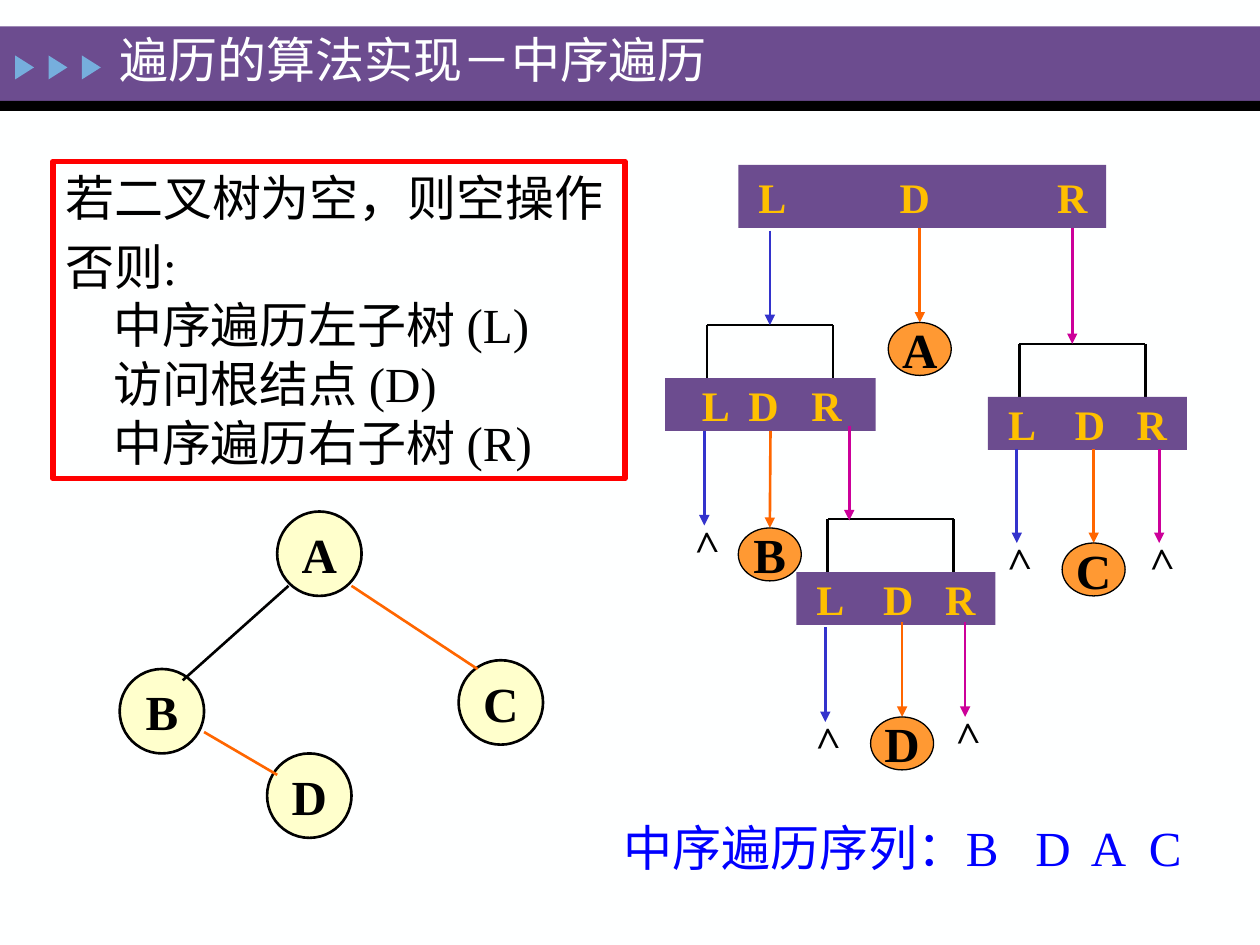
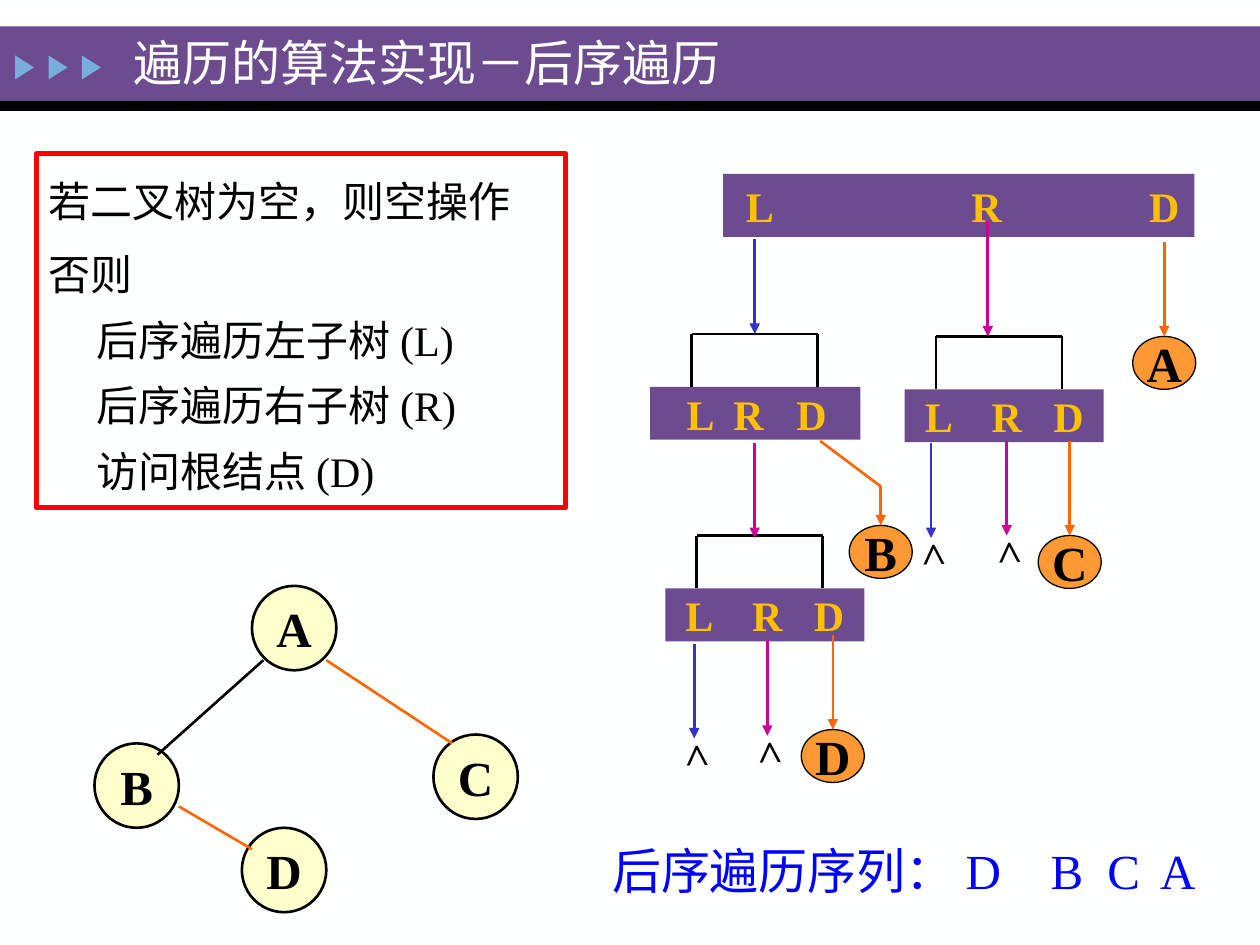
from lxml import etree
from pptx import Presentation
from pptx.dml.color import RGBColor
from pptx.enum.shapes import MSO_CONNECTOR, MSO_SHAPE
from pptx.enum.text import MSO_ANCHOR, PP_ALIGN
from pptx.oxml.ns import qn
from pptx.util import Inches, Pt

RECT = MSO_SHAPE.RECTANGLE
OVAL = MSO_SHAPE.OVAL
WEDGE = MSO_SHAPE.ISOSCELES_TRIANGLE
LINE = MSO_CONNECTOR.STRAIGHT
MIDDLE = MSO_ANCHOR.MIDDLE
TOP = MSO_ANCHOR.TOP
LEFT = PP_ALIGN.LEFT
CENTER = PP_ALIGN.CENTER

FONT = "Times New Roman"
PAPER = "FEFFFF"
PURPLE = "6C4C8F"
BLACK = "000000"
SKY = "76AEDD"
RED = "FF0000"
CREAM = "FFFFCC"
AMBER = "FF9933"
GOLD = "FFC000"
BLUE = "0000FF"
STEMS = {"L": "3333CC", "D": "FF6600", "R": "CC0099"}

WIDE = (-0.33, 1.67, (0.29, 0.37, 0.87))
SLIM = (-0.25, 1.58, (0.16, 0.53, 1.02))
STEM = 0.75
DROP = 0.42


def tint(code):
    return RGBColor.from_string(code)


def inches(*sizes):
    return [Inches(size) for size in sizes]


def add_shape(slide, kind, box, fill=None, edge=None, width=1.5):
    shape = slide.shapes.add_shape(kind, *inches(*box))
    shape.shadow.inherit = False
    if fill:
        shape.fill.solid()
        shape.fill.fore_color.rgb = tint(fill)
    else:
        shape.fill.background()
    if edge:
        shape.line.color.rgb = tint(edge)
        shape.line.width = Pt(width)
    else:
        shape.line.fill.background()
    return shape


def add_line(slide, start, end, color=BLACK, arrow=False):
    line = slide.shapes.add_connector(LINE, *inches(*start, *end))
    line.line.color.rgb = tint(color)
    line.line.width = Pt(1.5)
    props = line.element.spPr
    if arrow:
        tip = etree.SubElement(props.find(qn("a:ln")), qn("a:tailEnd"))
        tip.set("type", "triangle")
    etree.SubElement(props, qn("a:effectLst"))
    return line


def set_tabs(par, stops):
    tabs = etree.SubElement(par._p.get_or_add_pPr(), qn("a:tabLst"))
    for stop in stops:
        tab = etree.SubElement(tabs, qn("a:tab"))
        tab.set("pos", str(Inches(stop)))
        tab.set("algn", "l")


def style(par, size, color, bold=False, align=LEFT):
    par.alignment = align
    par.font.name = FONT
    par.font.size = Pt(size)
    par.font.bold = bold
    par.font.color.rgb = tint(color)


def write(shape, text, size, color, bold=False, align=LEFT,
          anchor=MIDDLE, wrap=True, stops=()):
    frame = shape.text_frame
    frame.word_wrap = wrap
    frame.vertical_anchor = anchor
    par = frame.paragraphs[0]
    par.text = text
    if stops:
        set_tabs(par, stops)
    style(par, size, color, bold, align)


def add_bands(slide, layout):
    parts = [add_shape(slide, RECT, (0, 0.21, 10, 0.59), PURPLE),
             add_shape(slide, RECT, (0, 0.8, 10, 0.08), BLACK)]
    for step in range(3):
        wedge = add_shape(slide, WEDGE, (0.1 + 0.265 * step, 0.46, 0.19, 0.15), SKY)
        wedge.rotation = 90
        parts.append(wedge)
    for part in parts:
        layout.shapes.element.append(part.element)


def add_title(slide, text, left, top):
    title = slide.shapes.title
    title.left, title.top, title.width, title.height = inches(left, top, 6.44, 0.56)
    write(title, text, 28, PAPER)


def add_steps(slide, box, first, rest, size, space=None):
    frame_box = add_shape(slide, RECT, box, edge=RED, width=3)
    frame = frame_box.text_frame
    frame.word_wrap = True
    frame.vertical_anchor = TOP
    pars = [frame.paragraphs[0], frame.add_paragraph()]
    for par, text in zip(pars, (first, "\v".join(rest))):
        par.text = text
        props = par._p.get_or_add_pPr()
        props.set("marL", str(Inches(0.38)))
        props.set("indent", str(Inches(-0.38)))
        par.line_spacing = space
        style(par, size, BLACK)
    pars[1].space_before = Pt(size * 0.2)


def add_node(slide, name, box, fill, width):
    node = add_shape(slide, OVAL, box, fill, BLACK, width)
    write(node, name, 28, BLACK, True, CENTER, wrap=False)
    return node


def add_tree(slide, left, top):
    nodes = {"A": (1.25, 0), "D": (1.17, 1.92), "B": (0, 1.25), "C": (2.69, 1.18)}
    for name, (x, y) in nodes.items():
        add_node(slide, name, (left + x, top + y, 0.67, 0.67), CREAM, 1.5)
    edges = [((1.34, 0.59), (0.5, 1.34), BLACK),
             ((1.84, 0.59), (2.84, 1.25), STEMS["D"]),
             ((0.67, 1.75), (1.25, 2.09), STEMS["D"])]
    for (x1, y1), (x2, y2), color in edges:
        add_line(slide, (left + x1, top + y1), (left + x2, top + y2), color)


def add_bar(slide, box, order, marks):
    bar = add_shape(slide, RECT, box, PURPLE)
    frame = bar.text_frame
    frame.margin_left = Inches(marks[0])
    frame.margin_right = 0
    write(bar, "\t".join(order), 24, GOLD, True, stops=marks[1:])
    return bar


def add_branch(slide, left, top, order, form):
    shift, width, marks = form
    right, low = left + 1, top + DROP
    add_line(slide, (left, top), (right, top))
    for x in (left, right):
        add_line(slide, (x, top), (x, low))
    return add_bar(slide, (left + shift, low, width, DROP), order, marks)


def add_stem(slide, role, x, top, length=STEM):
    return add_line(slide, (x, top), (x, top + length), STEMS[role], True)


def add_leaf(slide, name, x, top, length=STEM, bar=None):
    stem = add_stem(slide, "D", x, top, length)
    leaf = add_node(slide, name, (x - 0.25, top + length, 0.5, DROP), AMBER, 0.75)
    if bar:
        stem.begin_connect(bar, 2)
    stem.end_connect(leaf, 0)


def add_null(slide, role, x, top):
    add_stem(slide, role, x, top)
    box = slide.shapes.add_textbox(*inches(x - 0.21, top + 0.62, 0.42, 0.5))
    box.rotation = 268.3
    write(box, ">", 24, BLACK, True, anchor=TOP)


def add_result(slide, box, text, stops):
    label = slide.shapes.add_textbox(*inches(*box))
    write(label, text, 28, BLUE, anchor=TOP, stops=stops)


def draw_inorder(slide):
    add_title(slide, "遍历的算法实现－中序遍历", 0.85, 0.19)
    add_steps(slide, (0.42, 1.28, 4.54, 2.52), "若二叉树为空，则空操作",
              ("否则:", "中序遍历左子树 (L)", "访问根结点 (D)", "中序遍历右子树 (R)"), 28)
    add_tree(slide, 0.95, 4.06)
    add_bar(slide, (5.86, 1.31, 2.92, 0.5), "LDR", (0.16, 1.12, 2.37))
    bar = add_branch(slide, 5.61, 2.58, "LDR", WIDE)
    add_branch(slide, 6.57, 4.12, "LDR", SLIM)
    add_branch(slide, 8.09, 2.73, "LDR", SLIM)
    add_stem(slide, "L", 6.11, 1.83)
    add_stem(slide, "R", 6.74, 3.38)
    add_stem(slide, "R", 8.51, 1.81, 0.92)
    add_leaf(slide, "A", 7.3, 1.81)
    add_leaf(slide, "B", 6.11, 3.44, bar=bar)
    add_leaf(slide, "C", 8.68, 3.56)
    add_leaf(slide, "D", 7.16, 4.94)
    for role, x, top in (("L", 5.59, 3.42), ("R", 7.66, 4.94), ("L", 6.55, 4.98),
                         ("R", 9.2, 3.56), ("L", 8.07, 3.56)):
        add_null(slide, role, x, top)
    add_result(slide, (4.85, 6.44, 4.9, 0.57), "中序遍历序列：B\tD\tA\tC",
               (3.27, 3.71, 4.17))


def draw_postorder(slide):
    add_title(slide, "遍历的算法实现－后序遍历", 0.96, 0.21)
    add_steps(slide, (0.29, 1.22, 4.2, 2.81), "若二叉树为空，则空操作",
              ("否则", "后序遍历左子树 (L)", "后序遍历右子树 (R)", "访问根结点 (D)"), 24, 1.3)
    add_tree(slide, 0.75, 4.65)
    add_bar(slide, (5.74, 1.38, 3.74, 0.5), "LRD", (0.18, 1.79, 3.2))
    add_branch(slide, 5.49, 2.65, "LRD", WIDE)
    add_branch(slide, 5.53, 4.25, "LRD", SLIM)
    add_branch(slide, 7.43, 2.67, "LRD", SLIM)
    add_stem(slide, "L", 5.99, 1.9)
    add_stem(slide, "R", 5.99, 3.52)
    add_stem(slide, "R", 7.84, 1.75, 0.92)
    add_leaf(slide, "A", 9.24, 1.92)
    add_line(slide, (6.51, 3.5), (6.99, 3.86), STEMS["D"])
    add_leaf(slide, "B", 6.99, 3.86, 0.31)
    add_leaf(slide, "C", 8.49, 3.5)
    add_leaf(slide, "D", 6.61, 5.04)
    for role, x, top in (("R", 6.09, 5.09), ("L", 5.51, 5.11),
                         ("R", 7.99, 3.5), ("L", 7.39, 3.52)):
        add_null(slide, role, x, top)
    add_result(slide, (4.76, 6.62, 5.33, 0.57), "后序遍历序列： D\tB\tC\tA",
               (3.48, 3.93, 4.35))


def main():
    deck = Presentation()
    deck.slide_width, deck.slide_height = inches(10, 7.5)
    paper = deck.slide_master.background.fill
    paper.solid()
    paper.fore_color.rgb = tint(PAPER)
    layout = deck.slide_layouts[5]
    first, second = [deck.slides.add_slide(layout) for _ in range(2)]
    add_bands(first, layout)
    draw_inorder(first)
    draw_postorder(second)
    deck.save("out.pptx")


if __name__ == "__main__":
    main()
